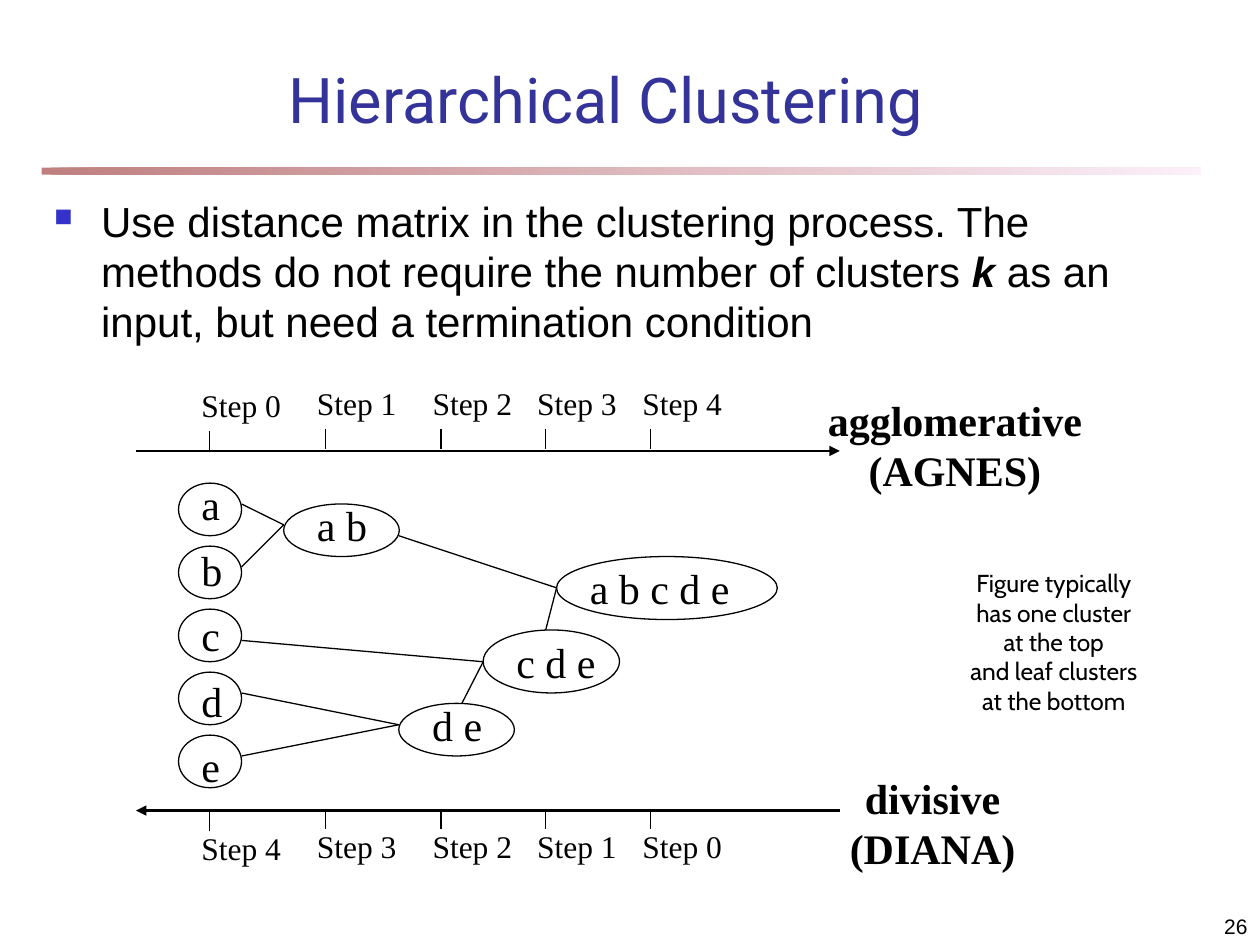
from lxml import etree
from pptx import Presentation
from pptx.dml.color import RGBColor
from pptx.enum.shapes import MSO_CONNECTOR, MSO_SHAPE
from pptx.enum.text import MSO_ANCHOR, PP_ALIGN
from pptx.oxml.ns import qn
from pptx.util import Cm, Pt

LEFT, CENTER, RIGHT = PP_ALIGN.LEFT, PP_ALIGN.CENTER, PP_ALIGN.RIGHT
MIDDLE, BOTTOM, TOP = MSO_ANCHOR.MIDDLE, MSO_ANCHOR.BOTTOM, MSO_ANCHOR.TOP
STRAIGHT = MSO_CONNECTOR.STRAIGHT
BLACK = RGBColor(0x00, 0x00, 0x00)
NAVY = RGBColor(0x33, 0x33, 0x99)
MAROON = RGBColor(0x80, 0x00, 0x00)
PINK = RGBColor(0xFA, 0xE2, 0xF6)
BULLET_COLOR = "3333CC"
SERIF, SANS, NOTE_FONT = "Times New Roman", "Arial", "Cabin"

TITLE = "Hierarchical Clustering"
BODY = [
    ("Use distance matrix in the clustering process. The methods do not "
     "require the number of clusters ", False),
    ("k", True),
    (" as an input, but need a termination condition", False),
]
NOTE = ["Figure typically", "has one cluster", "at the top",
        "and leaf clusters", "at the bottom"]
PAGE_NUMBER = "26"

STEPS = ["Step 0", "Step 1", "Step 2", "Step 3", "Step 4"]
STEP_X = [4.23, 6.56, 8.89, 11.0, 13.12]
AXIS_LEFT, AXIS_RIGHT = 2.74, 16.93
# axis y, tick top, label top, labels, arrowhead end
AXES = [
    (9.09, 8.64, 7.62, STEPS, "tailEnd"),
    (16.34, 16.3, 16.55, STEPS[::-1], "headEnd"),
]
METHODS = [
    (["agglomerative", "(AGNES)"], 16.43, 7.82, 5.64),
    (["divisive", "(DIANA)"], 16.87, 15.44, 3.86),
]
LEAVES = ["a", "b", "c", "d", "e"]
MERGES = [
    ("a b", 5.72, 10.16, 2.33, 1.06, 1.52),
    ("d e", 8.04, 14.18, 2.33, 1.06, 1.52),
    ("c d e", 9.74, 12.7, 2.75, 1.27, 2.11),
    ("a b c d e", 11.22, 11.22, 4.45, 1.27, 3.33),
]
LINKS = [
    (4.87, 10.16, 5.72, 10.58), (4.87, 11.43, 5.72, 10.58),
    (4.87, 13.97, 8.04, 14.61), (4.87, 15.24, 8.04, 14.61),
    (4.87, 12.91, 9.74, 13.34), (9.31, 14.18, 9.74, 13.34),
    (8.04, 10.8, 11.22, 11.85), (11.0, 12.7, 11.22, 11.85),
]


def style(paragraph, font_name, size, color=BLACK, bold=False, align=LEFT):
    paragraph.alignment = align
    font = paragraph.font
    font.name, font.size, font.bold = font_name, Pt(size), bold
    font.color.rgb = color


def add_text(slide, lines, x, y, w, h, font_name, size, bold=False,
             align=LEFT, wrap=True, anchor=TOP):
    frame = slide.shapes.add_textbox(Cm(x), Cm(y), Cm(w), Cm(h)).text_frame
    frame.word_wrap = wrap
    frame.vertical_anchor = anchor
    frame.text = "\n".join(lines)
    for paragraph in frame.paragraphs:
        style(paragraph, font_name, size, bold=bold, align=align)


def add_line(slide, x1, y1, x2, y2, width=0.75, arrow=None):
    line = slide.shapes.add_connector(STRAIGHT, Cm(x1), Cm(y1), Cm(x2), Cm(y2))
    line.line.color.rgb = BLACK
    line.line.width = Pt(width)
    if arrow:
        etree.SubElement(line.line._get_or_add_ln(), qn("a:" + arrow), type="triangle")
    etree.SubElement(line._element.spPr, qn("a:effectLst"))


def add_cluster(slide, x, y, w, h):
    cluster = slide.shapes.add_shape(MSO_SHAPE.OVAL, Cm(x), Cm(y), Cm(w), Cm(h))
    cluster.shadow.inherit = False
    cluster.fill.background()
    cluster.line.color.rgb = BLACK
    cluster.line.width = Pt(0.75)


def add_rule(slide):
    rule = slide.shapes.add_shape(MSO_SHAPE.RECTANGLE, Cm(0.84), Cm(3.38), Cm(23.37), Cm(0.14))
    rule.shadow.inherit = False
    rule.line.fill.background()
    rule.fill.gradient()
    rule.fill.gradient_angle = 0
    for stop, position, color in zip(rule.fill.gradient_stops, (0, 1), (MAROON, PINK)):
        stop.position = position
        stop.color.rgb = color
    for color in rule._element.spPr.iter(qn("a:srgbClr")):
        etree.SubElement(color, qn("a:alpha"), val="50000")


def add_title(slide):
    title = slide.shapes.title
    title.left, title.top, title.width, title.height = Cm(2.08), Cm(1.37), Cm(20.27), Cm(1.22)
    title.text_frame.text = TITLE
    title.text_frame.vertical_anchor = MIDDLE
    style(title.text_frame.paragraphs[0], "Roboto", 36, NAVY, align=CENTER)


def add_body(slide):
    frame = slide.shapes.add_textbox(Cm(0.84), Cm(3.81), Cm(23.06), Cm(3.38)).text_frame
    frame.word_wrap = True
    paragraph = frame.paragraphs[0]
    props = paragraph._p.get_or_add_pPr()
    props.set("marL", str(Cm(0.95)))
    props.set("indent", str(Cm(-0.95)))
    bullet_color = etree.SubElement(props, qn("a:buClr"))
    etree.SubElement(bullet_color, qn("a:srgbClr"), val=BULLET_COLOR)
    etree.SubElement(props, qn("a:buSzPct"), val="60000")
    etree.SubElement(props, qn("a:buChar"), char="■")
    style(paragraph, SANS, 24)
    for text, emphasis in BODY:
        run = paragraph.add_run()
        run.text = text
        if emphasis:
            run.font.bold = run.font.italic = True


def add_axes(slide):
    for axis_y, tick_top, label_top, labels, arrow in AXES:
        add_line(slide, AXIS_LEFT, axis_y, AXIS_RIGHT, axis_y, 1.5, arrow)
        for i, (x, label) in enumerate(zip(STEP_X, labels)):
            drop = 0.04 if i == 0 else 0
            add_line(slide, x, tick_top + drop, x, tick_top + drop + 0.42)
            add_text(slide, [label], x - 0.42, label_top + drop, 2.12, 1.02, SERIF, 18)


def add_clusters(slide):
    for i, leaf in enumerate(LEAVES):
        add_text(slide, [leaf], 3.81, 9.53 + 1.32 * i, 0.91, 1.27, SERIF, 24, wrap=False)
        add_cluster(slide, 3.6, 9.74 + 1.27 * i, 1.27, 1.06)
    for members, x, y, w, h, text_w in MERGES:
        add_text(slide, [members], x + 0.42, y + h - 1.27, text_w, 1.27, SERIF, 24, wrap=False)
        add_cluster(slide, x, y, w, h)
    for link in LINKS:
        add_line(slide, *link)


def main():
    prs = Presentation()
    prs.slide_width, prs.slide_height = Cm(25.4), Cm(19.05)
    slide = prs.slides.add_slide(prs.slide_layouts[5])
    add_rule(slide)
    add_title(slide)
    add_body(slide)
    add_axes(slide)
    add_clusters(slide)
    for lines, x, y, w in METHODS:
        add_text(slide, lines, x, y, w, 2.29, SERIF, 24, bold=True, align=CENTER, wrap=False)
    add_text(slide, [PAGE_NUMBER], 20.12, 17.98, 5.28, 1.07, SANS, 12, align=RIGHT, anchor=BOTTOM)
    add_text(slide, NOTE, 17.78, 11.33, 6.93, 3.25, NOTE_FONT, 14, align=CENTER)
    prs.save("out.pptx")


if __name__ == "__main__":
    main()
